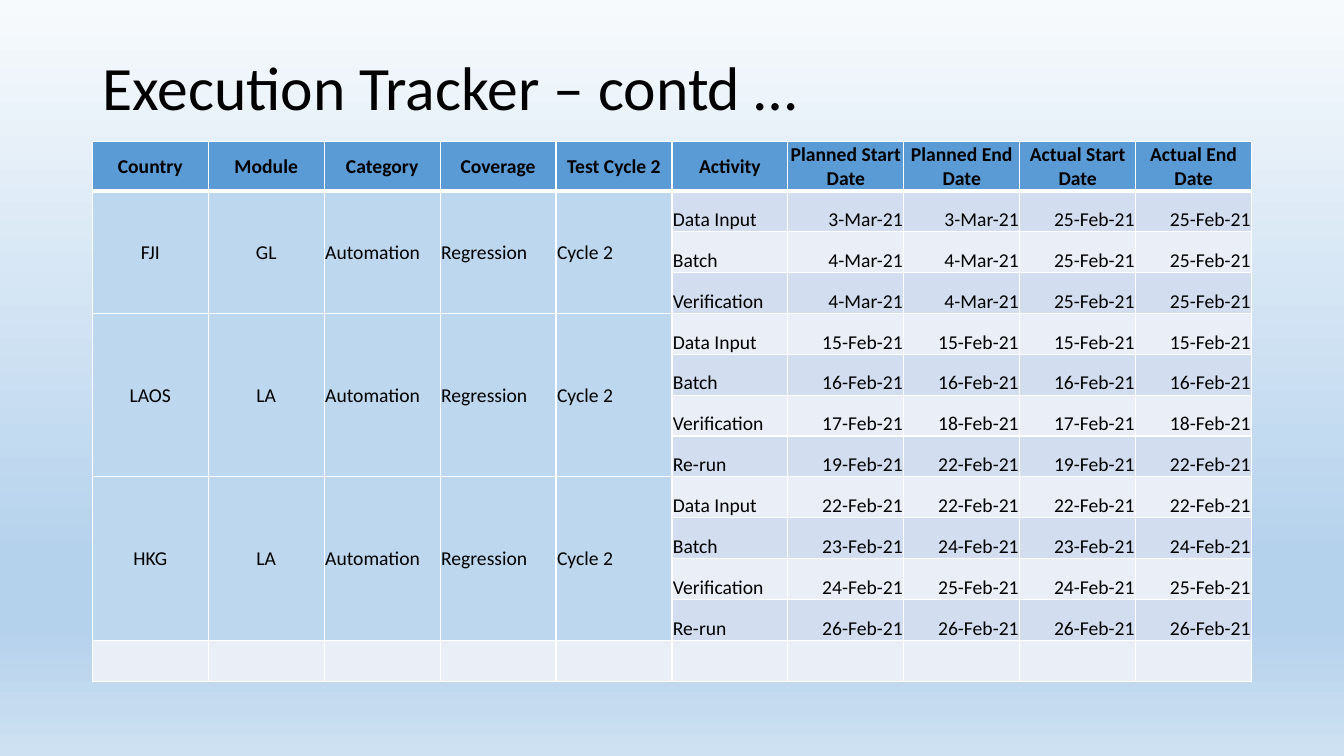
import pptx
import pptx.dml.color
import pptx.enum.text
import pptx.oxml.ns
import pptx.util
from lxml import etree

Pt = pptx.util.Pt
ALIGN = pptx.enum.text.PP_ALIGN
ANCHOR = pptx.enum.text.MSO_ANCHOR
qn = pptx.oxml.ns.qn

COLORS = {
    "text": "000000",
    "border": "FFFFFF",
    "header": "5B9BD5",
    "group": "BDD7EE",
    "odd_row": "D2DEEF",
    "even_row": "EAEFF7",
}
BACKGROUND_STOPS = [(0, "F7FAFD"), (74, "B5D2EC"), (83, "B5D2EC"), (100, "CEE1F2")]

HEADINGS = ["Country", "Module", "Category", "Coverage", "Test Cycle 2", "Activity",
            "Planned Start Date", "Planned End Date", "Actual Start Date", "Actual End Date"]
GROUP_COLUMNS = 5
SHARED_DETAILS = ("Automation", "Regression", "Cycle 2")
# Each activity: name, planned start, planned end, actual start, actual end
COUNTRIES = [
    ("FJI", "GL", [
        ("Data Input", "3-Mar-21", "3-Mar-21", "25-Feb-21", "25-Feb-21"),
        ("Batch", "4-Mar-21", "4-Mar-21", "25-Feb-21", "25-Feb-21"),
        ("Verification", "4-Mar-21", "4-Mar-21", "25-Feb-21", "25-Feb-21"),
    ]),
    ("LAOS", "LA", [
        ("Data Input", "15-Feb-21", "15-Feb-21", "15-Feb-21", "15-Feb-21"),
        ("Batch", "16-Feb-21", "16-Feb-21", "16-Feb-21", "16-Feb-21"),
        ("Verification", "17-Feb-21", "18-Feb-21", "17-Feb-21", "18-Feb-21"),
        ("Re-run", "19-Feb-21", "22-Feb-21", "19-Feb-21", "22-Feb-21"),
    ]),
    ("HKG", "LA", [
        ("Data Input", "22-Feb-21", "22-Feb-21", "22-Feb-21", "22-Feb-21"),
        ("Batch", "23-Feb-21", "24-Feb-21", "23-Feb-21", "24-Feb-21"),
        ("Verification", "24-Feb-21", "25-Feb-21", "24-Feb-21", "25-Feb-21"),
        ("Re-run", "26-Feb-21", "26-Feb-21", "26-Feb-21", "26-Feb-21"),
    ]),
]

LEFT, CONTENT_WIDTH = 66, 828
TABLE_TOP = 101.25
HEADER_HEIGHT, ROW_HEIGHT = 35, 29.2
CELL_FORMAT = {"margin_left": Pt(0.7), "margin_right": Pt(0.7),
               "margin_top": Pt(0.7), "margin_bottom": Pt(0)}


def set_format(target, values):
    for name, value in values.items():
        setattr(target, name, value)


def rgb(name):
    return pptx.dml.color.RGBColor.from_string(COLORS[name])


def write_text(paragraph, text, align, size, bold=False):
    paragraph.alignment = align
    run = paragraph.add_run()
    run.text = text
    set_format(run.font, {"name": "Calibri", "size": Pt(size), "bold": bold})
    run.font.color.rgb = rgb("text")


def paint_background(slide):
    fill = slide.background.fill
    fill.gradient()
    fill.gradient_angle = 270
    stops = slide.element.find(".//" + qn("a:gsLst"))
    stops.clear()
    for percent, color in BACKGROUND_STOPS:
        stop = etree.SubElement(stops, qn("a:gs"), pos=str(percent * 1000))
        etree.SubElement(stop, qn("a:srgbClr"), val=color)


def add_title(slide, text):
    title = slide.shapes.title
    set_format(title, {"left": Pt(LEFT), "top": Pt(28.75),
                       "width": Pt(CONTENT_WIDTH), "height": Pt(72.5)})
    set_format(title.text_frame, {"vertical_anchor": ANCHOR.MIDDLE, "word_wrap": True,
                                  "auto_size": pptx.enum.text.MSO_AUTO_SIZE.NONE})
    heading = title.text_frame.paragraphs[0]
    heading.line_spacing = 0.9
    write_text(heading, text, ALIGN.LEFT, 44)


def set_borders(cell, top=1, bottom=1):
    properties = cell._tc.get_or_add_tcPr()
    widths = {"a:lnL": 1, "a:lnR": 1, "a:lnT": top, "a:lnB": bottom}
    for position, (side, width) in enumerate(widths.items()):
        line = etree.Element(qn(side), w=str(Pt(width)))
        fill = etree.SubElement(line, qn("a:solidFill"))
        etree.SubElement(fill, qn("a:srgbClr"), val=COLORS["border"])
        properties.insert(position, line)


def write_cell(cell, text, align, anchor=ANCHOR.MIDDLE, bold=False):
    cell.vertical_anchor = anchor
    write_text(cell.text_frame.paragraphs[0], text, align, 14, bold)


def style_grid(table):
    """Give every cell its fill, margins and borders."""
    last_row = len(table.rows) - 1
    for row_index, row in enumerate(table.rows):
        row.height = Pt(ROW_HEIGHT if row_index else HEADER_HEIGHT)
        for column_index, cell in enumerate(row.cells):
            if row_index == 0:
                color = "header"
            elif column_index < GROUP_COLUMNS and row_index < last_row:
                color = "group"
            else:
                color = "odd_row" if row_index % 2 else "even_row"
            set_format(cell, CELL_FORMAT)
            cell.fill.solid()
            cell.fill.fore_color.rgb = rgb(color)
            set_borders(cell, top=3 if row_index == 1 else 1,
                        bottom=3 if row_index == 0 else 1)


def fill_country(table, first_row, country, module, activities):
    last_row = first_row + len(activities) - 1
    for column, text in enumerate((country, module) + SHARED_DETAILS):
        cell = table.cell(first_row, column)
        cell.merge(table.cell(last_row, column))
        write_cell(cell, text, ALIGN.CENTER if column < 2 else ALIGN.LEFT)
    for row, activity in enumerate(activities, first_row):
        for column, text in enumerate(activity, GROUP_COLUMNS):
            align = ALIGN.LEFT if column == GROUP_COLUMNS else ALIGN.RIGHT
            write_cell(table.cell(row, column), text, align, ANCHOR.BOTTOM)


def add_tracker(slide):
    body_rows = sum(len(activities) for _, _, activities in COUNTRIES) + 1
    table = slide.shapes.add_table(
        body_rows + 1, len(HEADINGS), Pt(LEFT), Pt(TABLE_TOP), Pt(CONTENT_WIDTH),
        Pt(HEADER_HEIGHT + body_rows * ROW_HEIGHT)).table
    style_grid(table)
    for column, heading in enumerate(HEADINGS):
        write_cell(table.cell(0, column), heading, ALIGN.CENTER, bold=True)
    first_row = 1
    for country, module, activities in COUNTRIES:
        fill_country(table, first_row, country, module, activities)
        first_row += len(activities)


def main():
    deck = pptx.Presentation()
    set_format(deck, {"slide_width": Pt(960), "slide_height": Pt(540)})
    slide = deck.slides.add_slide(deck.slide_layouts.get_by_name("Title Only"))
    paint_background(slide)
    add_title(slide, "Execution Tracker – contd …")
    add_tracker(slide)
    deck.save("out.pptx")


if __name__ == "__main__":
    main()
